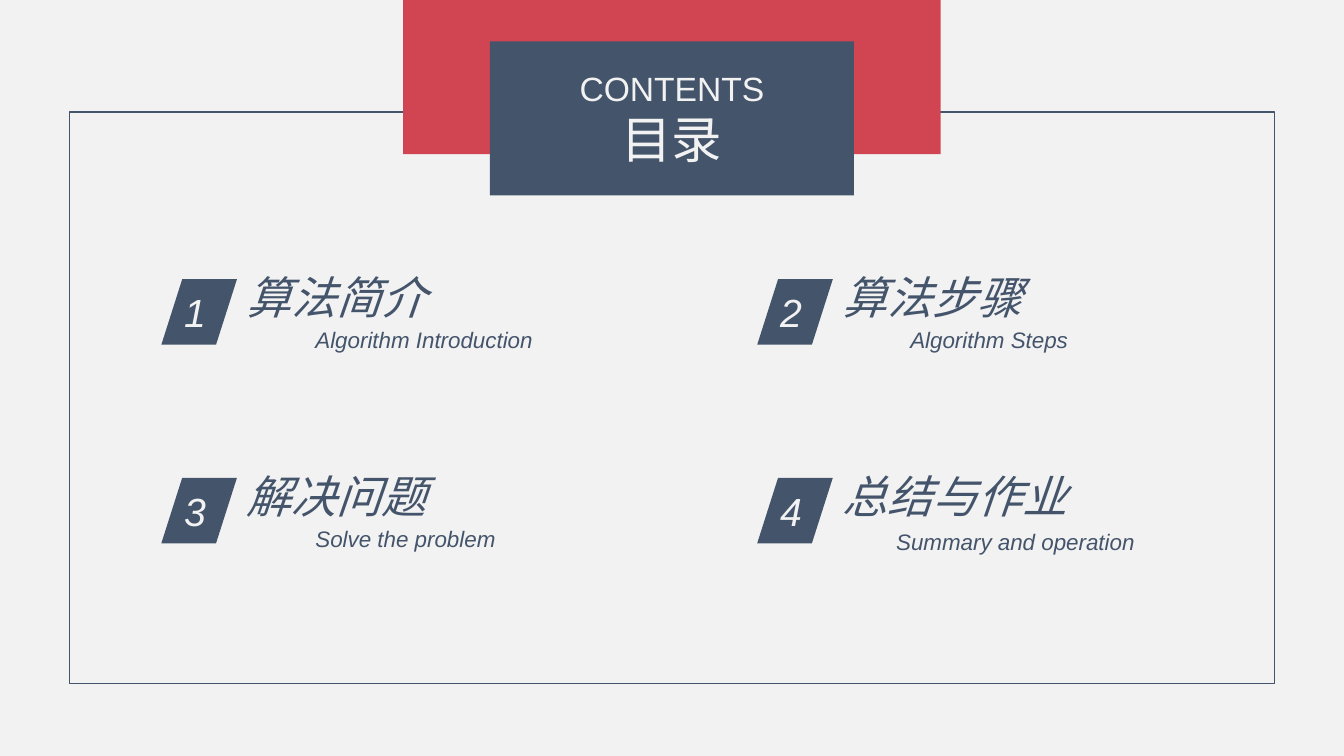
from pptx import Presentation
from pptx.dml.color import RGBColor
from pptx.enum.shapes import MSO_SHAPE
from pptx.enum.text import MSO_ANCHOR, MSO_AUTO_SIZE, PP_ALIGN
from pptx.util import Inches, Pt

RECT, SLANTED = MSO_SHAPE.RECTANGLE, MSO_SHAPE.PARALLELOGRAM
MIDDLE = MSO_ANCHOR.MIDDLE
CENTER, LEFT = PP_ALIGN.CENTER, PP_ALIGN.LEFT
NO_FIT, GROW = MSO_AUTO_SIZE.NONE, MSO_AUTO_SIZE.SHAPE_TO_FIT_TEXT

COLORS = {"paper": "F2F2F2", "navy": "44546B", "red": "D14553"}
FONT = "Arial"
WIDTH, HEIGHT = 13.33, 7.5
GRID_LEFT, GRID_TOP = 1.6, 2.77
COL_STEP, ROW_STEP = 5.91, 1.97
BADGE_W, BADGE_H = 0.75, 0.65
HEADING_DY = -0.14

ENTRIES = [
    ("算法简介", 2, "Algorithm Introduction", 2.38, (1.43, 0.42)),
    ("算法步骤", 2, "Algorithm Steps", 1.85, (1.42, 0.42)),
    ("解决问题", 2, "Solve the problem", 2.01, (1.43, 0.42)),
    ("总结与作业", 2.45, "Summary and operation", 2.6, (1.28, 0.45)),
]


def rgb(name):
    """Return the palette colour with this name."""
    return RGBColor.from_string(COLORS[name])


def style(p, size, color, align=LEFT, italic=False):
    """Format a paragraph and its runs."""
    p.alignment = align
    for r in p.runs:
        r.font.name = FONT
        r.font.size = Pt(size)
        r.font.italic = italic
        r.font.color.rgb = rgb(color)


def set_margins(tf, left, top, right, bottom):
    """Set the text insets in inches."""
    tf.margin_left, tf.margin_top = Inches(left), Inches(top)
    tf.margin_right, tf.margin_bottom = Inches(right), Inches(bottom)


def add_block(shapes, kind, x, y, w, h, fill=None):
    """Add a filled shape, or a navy outline when there is no fill."""
    sp = shapes.add_shape(kind, Inches(x), Inches(y), Inches(w), Inches(h))
    sp.shadow.inherit = False
    if fill:
        sp.fill.solid()
        sp.fill.fore_color.rgb = rgb(fill)
        sp.line.fill.background()
    else:
        sp.fill.background()
        sp.line.color.rgb = rgb("navy")
        sp.line.width = Pt(1)
    return sp


def add_label(shapes, text, x, y, w, h, size):
    """Add one unwrapped line of italic navy text."""
    sp = shapes.add_textbox(Inches(x), Inches(y), Inches(w), Inches(h))
    tf = sp.text_frame
    tf.text = text
    tf.word_wrap = False
    tf.auto_size = GROW
    style(tf.paragraphs[0], size, "navy", italic=True)


def add_entry(slide, index, heading, heading_w, caption, caption_w, offset):
    """Add a numbered entry in its cell of the two-column grid."""
    row, col = divmod(index, 2)
    x, y = GRID_LEFT + col * COL_STEP, GRID_TOP + row * ROW_STEP
    shapes = slide.shapes.add_group_shape().shapes
    badge = add_block(shapes, SLANTED, x, y, BADGE_W, BADGE_H, "navy")
    badge.adjustments[0] = 0.319
    tf = badge.text_frame
    tf.text = str(index + 1)
    tf.vertical_anchor = MIDDLE
    set_margins(tf, 0, 0.05, 0.08, 0.05)
    style(tf.paragraphs[0], 28, "paper", CENTER, italic=True)
    add_label(shapes, heading, x + BADGE_W, y + HEADING_DY, heading_w, 0.64, 32)
    dx, dy = offset
    add_label(shapes, caption, x + dx, y + dy, caption_w, 0.37, 16)


def place_title(slide):
    """Turn the title placeholder into the navy panel above the frame."""
    sp = slide.shapes.title
    w, h = 3.61, 1.53
    sp.left, sp.top = Inches((WIDTH - w) / 2), Inches(0.41)
    sp.width, sp.height = Inches(w), Inches(h)
    sp.fill.solid()
    sp.fill.fore_color.rgb = rgb("navy")
    tf = sp.text_frame
    tf.text = "CONTENTS\n目录"
    tf.vertical_anchor = MIDDLE
    tf.word_wrap = True
    tf.auto_size = NO_FIT
    set_margins(tf, 0, 0, 0, 0)
    for p, size in zip(tf.paragraphs, (24, 36)):
        style(p, size, "paper", CENTER)
    slide.shapes._spTree.append(sp._element)


def main():
    """Build the contents slide and save it."""
    prs = Presentation()
    prs.slide_width, prs.slide_height = Inches(WIDTH), Inches(HEIGHT)
    slide = prs.slides.add_slide(prs.slide_layouts[5])
    slide.background.fill.solid()
    slide.background.fill.fore_color.rgb = rgb("paper")
    frame_w, banner_w = 11.95, WIDTH * 0.4
    add_block(slide.shapes, RECT, (WIDTH - frame_w) / 2, 1.11, frame_w, 5.67)
    add_block(slide.shapes, RECT, (WIDTH - banner_w) / 2, 0, banner_w, 1.53, "red")
    place_title(slide)
    for index, entry in enumerate(ENTRIES):
        add_entry(slide, index, *entry)
    prs.save("out.pptx")


if __name__ == "__main__":
    main()
